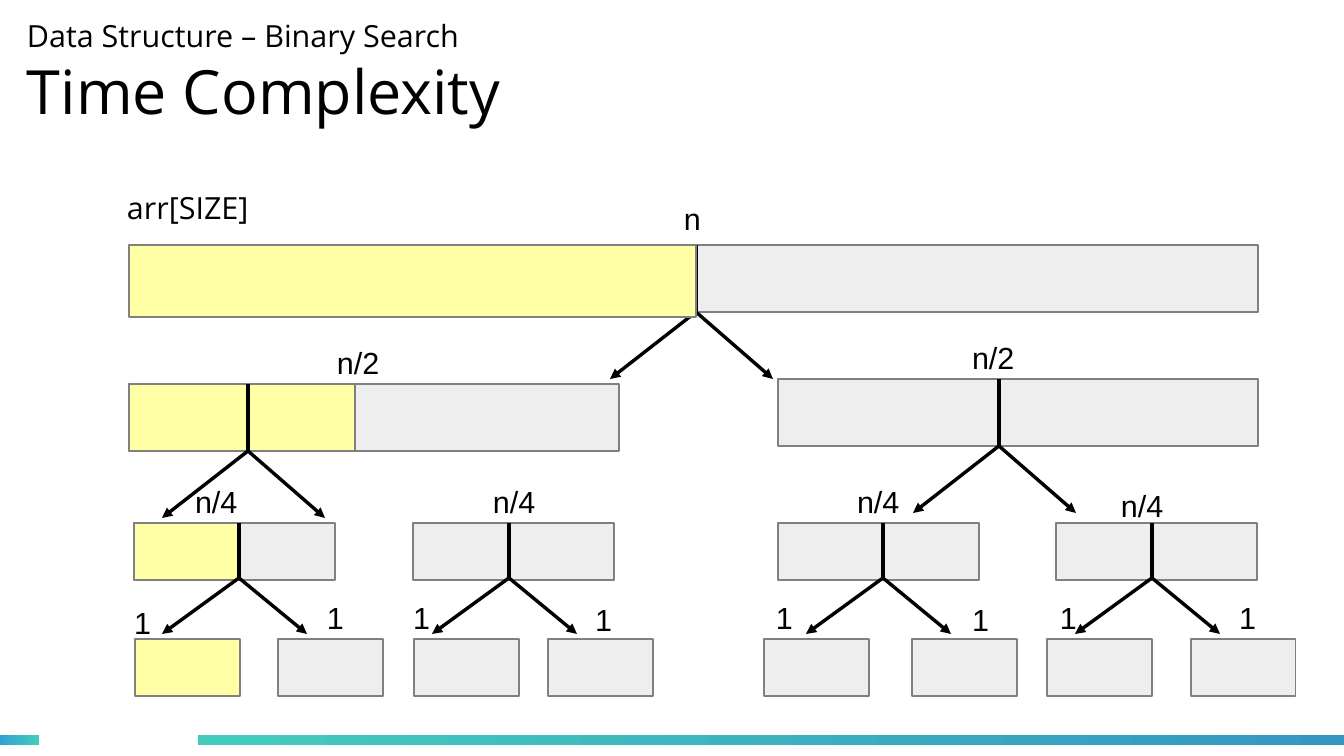
from dataclasses import dataclass
from typing import Optional

from lxml.etree import SubElement
from pptx import Presentation
from pptx.dml.color import RGBColor as Rgb
from pptx.enum.shapes import MSO_CONNECTOR as Link, MSO_SHAPE as Kind
from pptx.enum.text import MSO_ANCHOR as Anchor
from pptx.oxml.ns import qn
from pptx.util import Emu, Pt

SCALE = 914400 / 122  # EMU in one px


def px(num: float) -> Emu:
    return Emu(round(num * SCALE))


@dataclass(frozen=True)
class Theme:
    ink: str = "000000"
    edge: str = "808080"
    grey: str = "EEEEEE"
    yellow: str = "FFFFA6"
    teal: str = "43CCBD"
    sky: str = "30A2D2"
    blue: str = "3497C1"
    sans: str = "Open Sans"
    plain: str = "Arial"
    body: int = 18
    head: int = 36


@dataclass(frozen=True)
class Bar:
    x: int
    y: int
    w: int
    h: int
    fill: str


@dataclass(frozen=True)
class Fork:
    left: int
    right: int
    drop: int
    rise: int


@dataclass(frozen=True)
class Split:
    x: int
    y: int
    fork: Fork


@dataclass(frozen=True)
class Label:
    x: int
    y: int
    w: int
    h: int
    lines: tuple
    font: str = Theme.plain
    inset: tuple = (12, 6)
    anchor: Anchor = Anchor.TOP


@dataclass(frozen=True)
class Strip:
    x: int
    w: int
    end: str
    angle: int


T = Theme()
BIG = Fork(86, 77, 67, 67)
SMALL = Fork(77, 68, 56, 55)

# Array bars, one row per level
ROOT = Bar(134, 245, 1124, 67, T.grey)
GREY = [
    Bar(129, 384, 490, 67, T.grey),
    Bar(778, 379, 480, 67, T.grey),
    *(Bar(x, 523, 201, 57, T.grey) for x in (134, 413, 778, 1056)),
    *(Bar(x, 639, 105, 57, T.grey)
      for x in (278, 414, 548, 764, 912, 1047, 1191)),
]
YELLOW = [
    Bar(129, 245, 567, 72, T.yellow),
    Bar(129, 384, 226, 67, T.yellow),
    Bar(134, 523, 105, 57, T.yellow),
    Bar(135, 639, 105, 57, T.yellow),
]

# Points where a bar is halved
TOP = Split(696, 312, BIG)
SPLITS = [
    Split(248, 451, BIG),
    Split(999, 446, BIG),
    *(Split(x, 578, SMALL) for x in (239, 509, 883, 1152)),
]


def sizes(text: str, w: int, spots: tuple) -> list[Label]:
    return [Label(x, y, w, 46, ((text, T.body),)) for x, y in spots]


LABELS = [
    Label(27, 10, 937, 124,
          (("Data Structure – Binary Search", T.body),
           ("Time Complexity", T.head)),
          T.sans, (0, 0), Anchor.MIDDLE),
    Label(115, 183, 173, 54, (("arr[SIZE]", T.body),), T.sans),
    *sizes("n", 41, ((672, 194),)),
    *sizes("n/2", 79, ((325, 338), (960, 333))),
    *sizes("n/4", 79, ((183, 477), (481, 477), (845, 477), (1109, 481))),
    *sizes("1", 50, ((122, 598), (315, 593), (401, 593), (583, 595),
                     (764, 593), (960, 595), (1048, 593), (1227, 593))),
]
STRIPS = [Strip(0, 39, T.sky, 180), Strip(198, 1146, T.blue, 0)]


def put(obj: object, vals: dict) -> None:
    for name, val in vals.items():
        setattr(obj, name, val)


def rect(slide, x: int, y: int, w: int, h: int):
    shape = slide.shapes.add_shape(Kind.RECTANGLE, px(x), px(y), px(w), px(h))
    shape.shadow.inherit = False
    return shape


def draw_bar(slide, bar: Bar):
    shape = rect(slide, bar.x, bar.y, bar.w, bar.h)
    shape.fill.solid()
    shape.fill.fore_color.rgb = Rgb.from_string(bar.fill)
    shape.line.color.rgb = Rgb.from_string(T.edge)
    shape.line.width = 0
    return shape


def draw_strip(slide, strip: Strip) -> None:
    shape = rect(slide, strip.x, 735, strip.w, 10)
    shape.line.fill.background()
    shape.fill.gradient()
    shape.fill.gradient_angle = strip.angle
    for stop, tint in zip(shape.fill.gradient_stops, (T.teal, strip.end)):
        stop.color.rgb = Rgb.from_string(tint)


def draw_split(slide, split: Split, owner: Optional[object] = None) -> None:
    x, y, fork = split.x, split.y, split.fork
    ends = ((x - fork.left, y + fork.drop, True),
            (x + fork.right, y + fork.drop, True),
            (x, y - fork.rise, False))
    for to_x, to_y, arrow in ends:
        line = slide.shapes.add_connector(
            Link.STRAIGHT, px(x), px(y), px(to_x), px(to_y))
        line.line.color.rgb = Rgb.from_string(T.ink)
        line.line.width = 0
        if arrow:
            tail = SubElement(line.line._get_or_add_ln(), qn("a:tailEnd"))
            tail.set("type", "triangle")
        SubElement(line._element.spPr, qn("a:effectLst"))
        if owner is not None:
            line.begin_connect(owner, 2)
            if not arrow:
                line.end_connect(owner, 0)


def draw_label(slide, label: Label) -> None:
    box = slide.shapes.add_textbox(
        px(label.x), px(label.y), px(label.w), px(label.h))
    frame = box.text_frame
    side, edge = map(px, label.inset)
    put(frame, {"word_wrap": True, "vertical_anchor": label.anchor,
                "margin_left": side, "margin_right": side,
                "margin_top": edge, "margin_bottom": edge})
    for num, (text, size) in enumerate(label.lines):
        para = frame.add_paragraph() if num else frame.paragraphs[0]
        run = para.add_run()
        run.text = text
        put(run.font, {"name": label.font, "size": Pt(size)})
        run.font.color.rgb = Rgb.from_string(T.ink)


def main() -> None:
    deck = Presentation()
    put(deck, {"slide_width": px(1344), "slide_height": px(756)})
    slide = deck.slides.add_slide(deck.slide_layouts[6])
    # Footer
    for strip in STRIPS:
        draw_strip(slide, strip)
    # Search tree
    draw_split(slide, TOP, draw_bar(slide, ROOT))
    for bar in GREY + YELLOW:
        draw_bar(slide, bar)
    for split in SPLITS:
        draw_split(slide, split)
    # Title and sizes
    for label in LABELS:
        draw_label(slide, label)
    deck.save("out.pptx")


if __name__ == "__main__":
    main()
